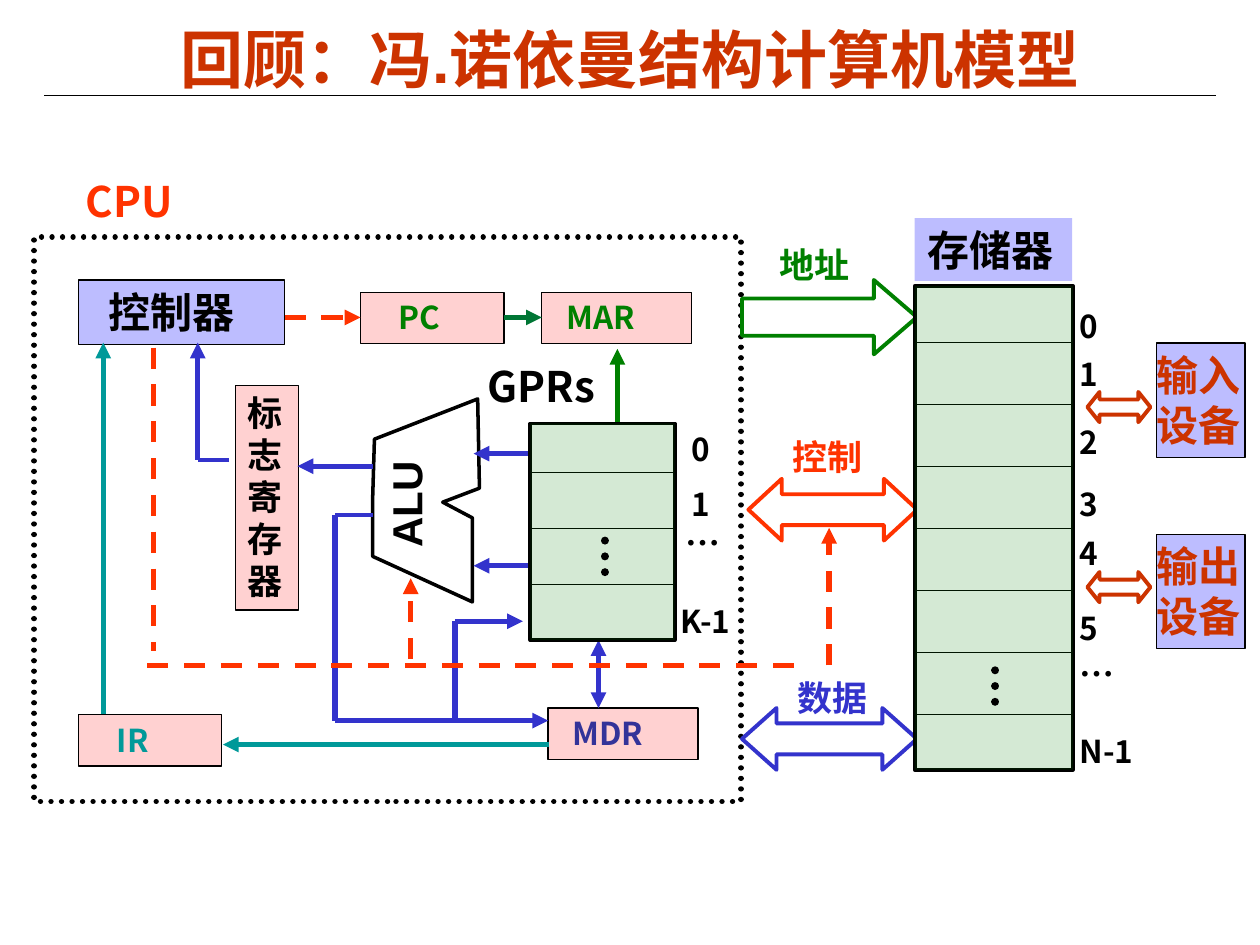
from lxml import etree
from pptx import Presentation
from pptx.dml.color import RGBColor
from pptx.enum.dml import MSO_LINE
from pptx.enum.shapes import MSO_CONNECTOR, MSO_SHAPE
from pptx.enum.text import MSO_ANCHOR, PP_ALIGN
from pptx.oxml.ns import qn
from pptx.util import Pt

RECTANGLE = MSO_SHAPE.RECTANGLE
RIGHT_ARROW = MSO_SHAPE.RIGHT_ARROW
DOUBLE_ARROW = MSO_SHAPE.LEFT_RIGHT_ARROW
STRAIGHT = MSO_CONNECTOR.STRAIGHT
DASH, DOT = MSO_LINE.DASH, MSO_LINE.ROUND_DOT
LEFT, CENTER = PP_ALIGN.LEFT, PP_ALIGN.CENTER
TOP, MIDDLE = MSO_ANCHOR.TOP, MSO_ANCHOR.MIDDLE

CJK_FONT = "Noto Sans CJK SC"
BLACK, WHITE = "000000", "FFFFFF"
RED, RUST, GREEN, DARK_GREEN = "FF3300", "CC3300", "008000", "007635"
BLUE, NAVY, TEAL = "3333CC", "333399", "009999"
BLUE_TINT, RED_TINT, GREEN_TINT = ("0000FF", 26), ("FF0000", 18), ("008000", 17)

presentation = Presentation()
presentation.slide_width, presentation.slide_height = Pt(720), Pt(540)
slide = presentation.slides.add_slide(presentation.slide_layouts[6])


def add_box(text, box, kind=None, fill=None, line=None, width=0.75, dash=None, head=None,
            size=18, color=BLACK, font=CJK_FONT, align=LEFT, anchor=TOP,
            left=7.2, right=7.2, spacing=None, rotation=0):
    """Add a text box, or a preset shape of the given kind, with formatted text."""
    place = [Pt(value) for value in box]
    if kind is None:
        shape = slide.shapes.add_textbox(*place)
    else:
        shape = slide.shapes.add_shape(kind, *place)
        shape.shadow.inherit = False
        if fill:
            tint, opacity = fill
            shape.fill.solid()
            shape.fill.fore_color.rgb = RGBColor.from_string(tint)
            if opacity < 100:
                node = shape.element.spPr.find(".//" + qn("a:srgbClr"))
                etree.SubElement(node, qn("a:alpha"), val=str(opacity * 1000))
        else:
            shape.fill.background()
        if line:
            shape.line.color.rgb = RGBColor.from_string(line)
            shape.line.width = Pt(width)
        else:
            shape.line.fill.background()
        if dash:
            shape.line.dash_style = dash
            shape.element.spPr.find(qn("a:ln")).set("cap", "rnd")
        if head:
            shape.adjustments[1] = head
    shape.rotation = rotation
    if not text:
        return
    frame = shape.text_frame
    frame.word_wrap = True
    frame.vertical_anchor = anchor
    frame.margin_left, frame.margin_right = Pt(left), Pt(right)
    frame.margin_top = frame.margin_bottom = Pt(3.6)
    frame.text = text
    for paragraph in frame.paragraphs:
        paragraph.alignment = align
        paragraph.line_spacing = spacing
        for run in paragraph.runs:
            run.font.name, run.font.size, run.font.bold = font, Pt(size), True
            run.font.color.rgb = RGBColor.from_string(color)
            etree.SubElement(run.font._element, qn("a:ea"), typeface=CJK_FONT)


def add_line(points, color=BLACK, width=3.0, dash=None, head=False, tail=False):
    """Add straight connectors through the points, with arrowheads at the ends."""
    last = len(points) - 2
    for index, (start, end) in enumerate(zip(points, points[1:])):
        connector = slide.shapes.add_connector(
            STRAIGHT, *[Pt(value) for value in (*start, *end)])
        connector.line.color.rgb = RGBColor.from_string(color)
        connector.line.width = Pt(width)
        if dash:
            connector.line.dash_style = dash
        properties = connector.element.spPr
        outline = properties.find(qn("a:ln"))
        if dash == DOT:
            outline.set("cap", "rnd")
        if head and index == 0:
            etree.SubElement(outline, qn("a:headEnd"), type="triangle")
        if tail and index == last:
            etree.SubElement(outline, qn("a:tailEnd"), type="triangle")
        etree.SubElement(properties, qn("a:effectLst"))


# Title
add_line([(25.2, 54.7), (694.8, 54.7)], width=0.75)
add_box("回顾：冯.诺依曼结构计算机模型", (36, 11.5, 648, 44), size=36, color=RUST,
        font="Arial", align=CENTER, anchor=MIDDLE)

# CPU frame and its units
add_box("控制器", (44.8, 160, 118, 36.7), RECTANGLE, BLUE_TINT, BLACK, size=24, left=17)
add_box("", (19.5, 135.4, 404, 322.6), RECTANGLE, line=BLACK, width=3, dash=DOT)
add_box("CPU", (41.8, 96.5, 70, 36), size=24, color=RED)
for name, x, y, width, color, indent in [
        ("PC", 206, 167, 82, GREEN, 22), ("MAR", 309.6, 167, 85.7, GREEN, 14),
        ("MDR", 313.2, 404.6, 85.7, NAVY, 14), ("IR", 44.8, 408.2, 82, TEAL, 22)]:
    add_box(name, (x, y, width, 29.5), RECTANGLE, RED_TINT, BLACK, color=color, left=indent)
add_box("标\n志\n寄\n存\n器", (134.6, 220.3, 36, 128.2), RECTANGLE, RED_TINT, BLACK, size=20)

# Input and output devices
for name, y in [("输入\n设备", 196), ("输出\n设备", 305.3)]:
    add_box(name, (661, y, 50.4, 65.5), RECTANGLE, BLUE_TINT, BLACK,
            size=24, color=RUST, left=0, right=0)
    add_box("", (621.4, y + 28 - 6.4 * (y > 300), 36, 17.3), DOUBLE_ARROW, (WHITE, 100),
            RUST, width=2.25, head=0.4)

# ALU
outline_points = [(273, 227.5), (274.3, 278.6), (252.9, 286.6), (270, 295.6), (270, 344),
                  (213.1, 317.5), (213.1, 284), (213.8, 250.6)]
builder = slide.shapes.build_freeform(*outline_points[0], scale=Pt(1))
builder.add_line_segments(outline_points[1:], close=True)
alu = builder.convert_to_shape()
alu.shadow.inherit = False
alu.fill.background()
alu.line.color.rgb = RGBColor.from_string(BLACK)
alu.line.width = Pt(2)
add_box("ALU", (201.6, 271.4, 64, 33.1), size=24, font="Arial", right=0,
        spacing=0.9, rotation=270)

# Data paths
for y in (259.2, 323.3):
    add_line([(302.4, y), (270.7, y)], BLUE, tail=True)
add_line([(213.1, 266.4), (170, 266.4)], BLUE, tail=True)
add_line([(131, 262.8), (113, 262.8)], BLUE, 2.25)
add_line([(113, 262.8), (113, 195.8)], BLUE, tail=True)
add_line([(213.1, 294.5), (191.5, 294.5)], BLUE, 2.25)
add_line([(191.5, 294.5), (191.5, 411.8), (313.2, 411.8)], BLUE, tail=True)
add_line([(260, 411.8), (260, 355), (298.8, 355)], BLUE, tail=True)
add_line([(342, 365.8), (342, 404.6)], BLUE, head=True, tail=True)
add_line([(288, 181.4), (309.6, 181.4)], DARK_GREEN, tail=True)
add_line([(352.8, 242), (352.8, 199.4)], GREEN, tail=True)
add_line([(313.9, 425.5), (127.4, 425.5)], TEAL, tail=True)
add_line([(59, 408.2), (59, 195.8)], TEAL, tail=True)

# Control paths
add_line([(162.7, 181.4), (206, 181.4)], RED, dash=DASH, tail=True)
add_line([(84.2, 380.2), (460, 380.2)], RED, dash=DASH)
add_line([(87.8, 198.7), (87.8, 372.2)], RED, dash=DASH)
add_line([(234.7, 376.6), (234.7, 330.5)], RED, dash=DASH, tail=True)

# Buses between CPU and memory
for name, label_box, kind, arrow_box, head, color in [
        ("地址", (438.5, 135.4, 68, 31), RIGHT_ARROW, (424, 160, 100, 42.5), 0.58, GREEN),
        ("控制", (445.7, 245.5, 68, 31), DOUBLE_ARROW, (427.7, 273.6, 96.5, 35.3), 0.54, RED),
        ("数据", (448.6, 383, 61, 31), DOUBLE_ARROW, (424, 404.6, 100, 35.3), 0.56, BLUE)]:
    add_box(name, label_box, size=20, color=color)
    add_box("", arrow_box, kind, (WHITE, 100), color, width=2.25, head=head)
add_line([(473.8, 380.2), (473.8, 301.7)], RED, dash=DASH, tail=True)

# Registers and memory: cells, dividers and ellipsis dots
add_box("GPRs", (271.4, 202.3, 93, 36), size=24)
add_box("存储器", (522.7, 124.6, 90, 36), RECTANGLE, BLUE_TINT, size=24)
for x, y, width, height, first, pitch, count, dots_x, dots_y in [
        (303.1, 242, 82.4, 123.8, 270, 32, 3, 345.6, 308.9),
        (522.7, 163.4, 90.4, 276.5, 195.8, 35.4, 7, 568.8, 383)]:
    add_box("", (x, y, width, height), RECTANGLE, (WHITE, 100), BLACK, width=2.25)
    for row in range(count):
        divider = first + row * pitch
        add_line([(x, divider), (x + width, divider)], width=0.75)
    add_box("", (x, y, width, height), RECTANGLE, GREEN_TINT)
    add_line([(dots_x, dots_y), (dots_x, dots_y + 21.6)], width=4.5, dash=DOT)

# Cell numbers
for text, x, y, width in [
        ("0", 388, 242, 25), ("1", 388, 273.6, 25), ("…", 384.5, 294.5, 34.6),
        ("K-1", 381.6, 340.6, 55.4),
        ("0", 609.8, 172, 25), ("1", 609.8, 199.4, 25), ("2", 609.8, 238.3, 25),
        ("3", 609.8, 273.6, 25), ("4", 609.8, 301.7, 25), ("5", 609.8, 344.2, 25),
        ("…", 609.8, 369.4, 47.5), ("N-1", 609.8, 414.7, 58.3)]:
    add_box(text, (x, y, width, 28.8), size=20 if text == "…" else 18)

presentation.save("out.pptx")
